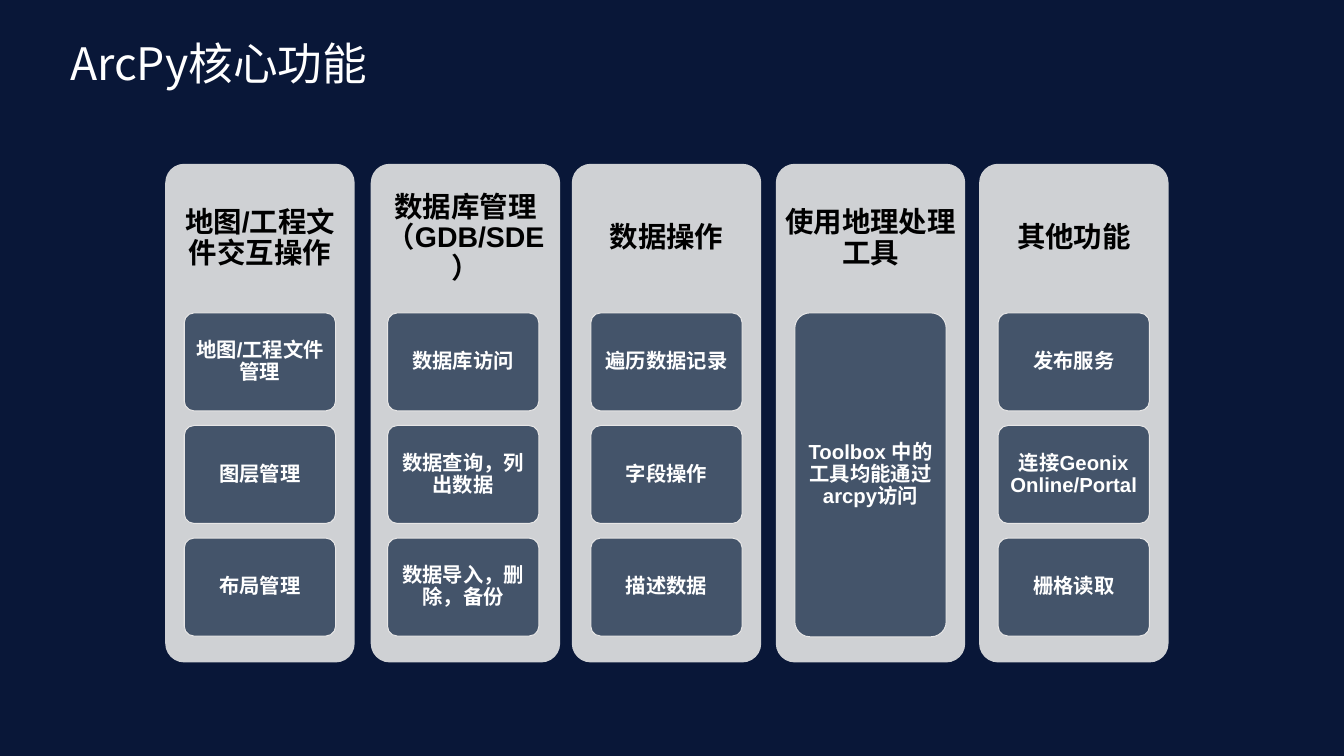
from pptx import Presentation
from pptx.dml.color import RGBColor
from pptx.enum.shapes import MSO_SHAPE
from pptx.enum.text import MSO_ANCHOR, PP_ALIGN
from pptx.util import Pt

ROUNDED = MSO_SHAPE.ROUNDED_RECTANGLE
MIDDLE = MSO_ANCHOR.MIDDLE
LEFT, CENTER = PP_ALIGN.LEFT, PP_ALIGN.CENTER
PX = 9144  # 100 px to the inch

THEME = {
    "background": RGBColor(0x09, 0x17, 0x38),
    "panel": RGBColor(0xCF, 0xD1, 0xD4),
    "card": RGBColor(0x44, 0x54, 0x6A),
    "card_line": RGBColor(0xE7, 0xE6, 0xE6),
    # font name, size, bold, colour
    "title": ("Noto Sans CJK SC", 44, False, RGBColor(0xFF, 0xFF, 0xFF)),
    "heading": ("Arial", 28, True, RGBColor(0x00, 0x00, 0x00)),
    "label": ("Arial", 20, True, RGBColor(0xFF, 0xFF, 0xFF)),
}

# Heading, panel nudge in px, cards
COLUMNS = [
    ("地图/工程文件交互操作", 0, ["地图/工程文件管理", "图层管理", "布局管理"]),
    ("数据库管理 （GDB/SDE）", 3, ["数据库访问", "数据查询，列出数据", "数据导入，删除，备份"]),
    ("数据操作", 0, ["遍历数据记录", "字段操作", "描述数据"]),
    ("使用地理处理工具", 0, ["Toolbox 中的工具均能通过arcpy访问"]),
    ("其他功能", 0, ["发布服务", "连接Geonix Online/Portal", "栅格读取"]),
]
PANEL_LEFT, PANEL_TOP, PANEL_WIDTH, PANEL_HEIGHT = 226, 224, 259, 682
COLUMN_PITCH = 278.25
HEADING_HEIGHT = 205
CARD_INDENT, CARD_TOP, CARD_WIDTH = 26, 428, 207
CARDS_HEIGHT, CARD_GAP = 443, 20

presentation = Presentation()
presentation.slide_width = 1838 * PX
presentation.slide_height = 1034 * PX
slide = presentation.slides.add_slide(presentation.slide_layouts[6])
slide.background.fill.solid()
slide.background.fill.fore_color.rgb = THEME["background"]


def write(shape, text, style, align, inset_x, inset_y):
    frame = shape.text_frame
    frame.word_wrap = True
    frame.vertical_anchor = MIDDLE
    frame.margin_left = frame.margin_right = inset_x * PX
    frame.margin_top = frame.margin_bottom = inset_y * PX
    paragraph = frame.paragraphs[0]
    paragraph.text = text
    paragraph.alignment = align
    paragraph.line_spacing = 0.9
    font = paragraph.font
    font.name, size, font.bold, font.color.rgb = THEME[style]
    font.size = Pt(size)


def add_rounded(left, top, width, height, fill):
    shape = slide.shapes.add_shape(ROUNDED, left * PX, top * PX, width * PX, height * PX)
    shape.adjustments[0] = 0.1
    shape.shadow.inherit = False
    shape.fill.solid()
    shape.fill.fore_color.rgb = THEME[fill]
    shape.line.fill.background()
    return shape


# Title
title = slide.shapes.add_textbox(86 * PX, 50 * PX, 1629 * PX, 80 * PX)
write(title, "ArcPy核心功能", "title", LEFT, 10, 5)

# Columns
for index, (heading, nudge, labels) in enumerate(COLUMNS):
    column_left = round(PANEL_LEFT + index * COLUMN_PITCH)
    panel_left = column_left + nudge
    add_rounded(panel_left, PANEL_TOP, PANEL_WIDTH, PANEL_HEIGHT, "panel")
    heading_box = slide.shapes.add_textbox(
        panel_left * PX, PANEL_TOP * PX, PANEL_WIDTH * PX, HEADING_HEIGHT * PX)
    write(heading_box, heading, "heading", CENTER, 12, 12)

    # Cards share the height below the heading
    card_pitch = (CARDS_HEIGHT + CARD_GAP) // len(labels)
    for row, label in enumerate(labels):
        card = add_rounded(column_left + CARD_INDENT, CARD_TOP + row * card_pitch,
                           CARD_WIDTH, card_pitch - CARD_GAP, "card")
        card.line.color.rgb = THEME["card_line"]
        card.line.width = Pt(1)
        write(card, label, "label", CENTER, 6, 4)

presentation.save("out.pptx")
